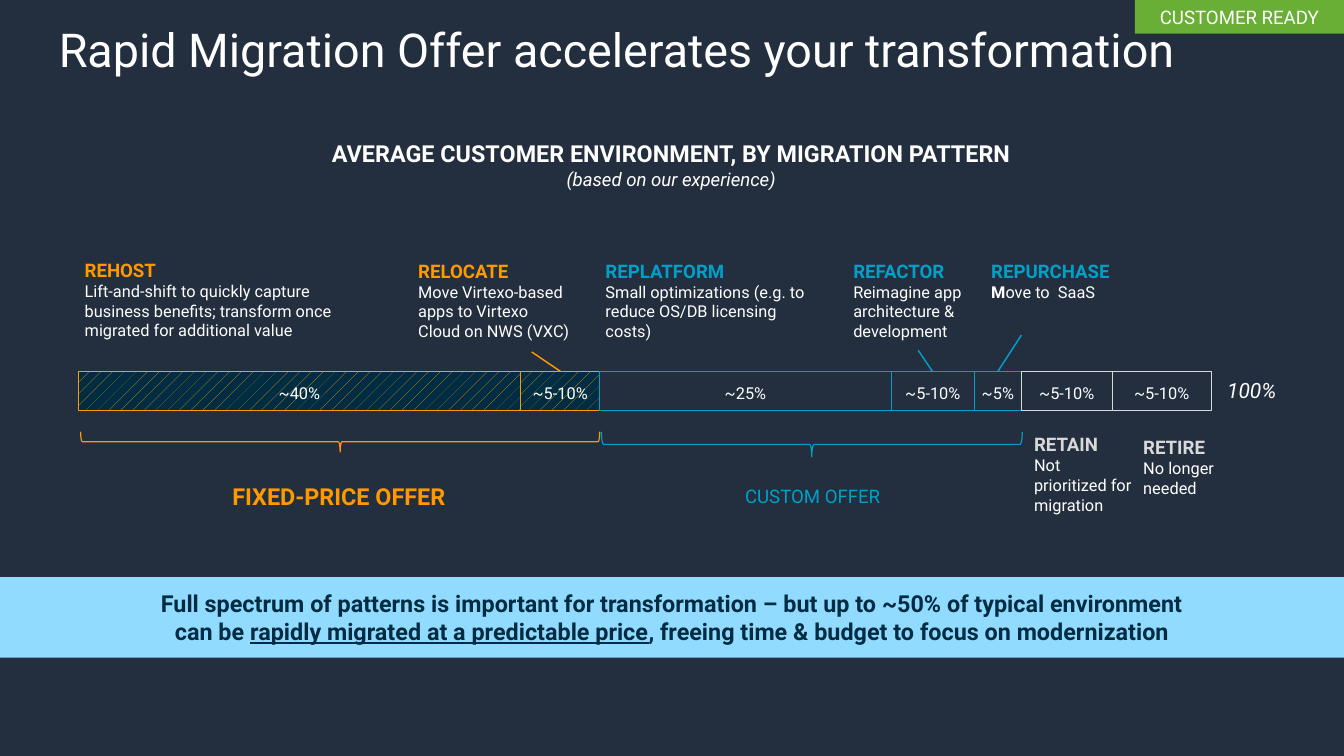
from itertools import accumulate

from lxml.etree import SubElement
from pptx import Presentation
from pptx.dml.color import RGBColor
from pptx.enum.dml import MSO_PATTERN
from pptx.enum.shapes import MSO_CONNECTOR, MSO_SHAPE
from pptx.enum.text import MSO_ANCHOR as ANCHOR, MSO_AUTO_SIZE, PP_ALIGN as ALIGN
from pptx.oxml.ns import qn
from pptx.util import Inches, Pt

NAVY, WHITE, GREY = "232F3E", "FFFFFF", "D9D9D9"
ORANGE, TEAL, DEEP_BLUE = "FF9900", "00A0C8", "002D43"
SIDE_INSETS = (0.1, 0.05, 0.1, 0.05)
EVEN_INSETS = (0.1, 0.1, 0.1, 0.1)
DEEP_INSETS = (0.2, 0.32, 0.32, 0.32)


def rgb(value):
    """Turn a hex string into a colour."""
    return RGBColor.from_string(value)


def write(holder, lines, size=16, color=WHITE, bold=False, italic=False,
          align=ALIGN.CENTER, anchor=ANCHOR.MIDDLE, insets=SIDE_INSETS):
    """Write lines, each a list of (text, format overrides) runs."""
    frame = holder.text_frame
    frame.word_wrap = True
    frame.auto_size = MSO_AUTO_SIZE.NONE
    frame.vertical_anchor = anchor
    (frame.margin_left, frame.margin_top,
     frame.margin_right, frame.margin_bottom) = map(Inches, insets)
    for index, runs in enumerate(lines):
        paragraph = frame.add_paragraph() if index else frame.paragraphs[0]
        paragraph.alignment = align
        for text, changes in runs:
            look = dict(size=size, color=color, bold=bold, italic=italic, underline=None) | changes
            run = paragraph.add_run()
            run.text = text
            font = run.font
            font.name, font.size = "Roboto", Pt(look["size"])
            font.color.rgb = rgb(look["color"])
            font.bold, font.italic, font.underline = look["bold"], look["italic"], look["underline"]


def add_text(slide, box, lines, **look):
    """Add a text box."""
    write(slide.shapes.add_textbox(*map(Inches, box)), lines, **look)


def add_box(slide, box, fill=None, line=None, preset=MSO_SHAPE.RECTANGLE):
    """Add a preset shape with an optional fill and outline."""
    shape = slide.shapes.add_shape(preset, *map(Inches, box))
    shape.shadow.inherit = False
    if fill:
        shape.fill.solid()
        shape.fill.fore_color.rgb = rgb(fill)
    else:
        shape.fill.background()
    if line:
        shape.line.color.rgb = rgb(line)
        shape.line.width = Pt(1)
    else:
        shape.line.fill.background()
    return shape


def add_pointer(slide, start, end, color):
    """Draw a line from a pattern description to its bar segment."""
    pointer = slide.shapes.add_connector(MSO_CONNECTOR.STRAIGHT, *map(Inches, start + end))
    pointer.line.color.rgb = rgb(color)
    pointer.line.width = Pt(1.25)
    SubElement(pointer._element.spPr, qn("a:effectLst"))


def add_header(slide, left, top, width):
    """Place the title, the tag and the chart heading."""
    title = slide.shapes.title
    title.left, title.top, title.width, title.height = map(Inches, (left, top, width, 0.99))
    write(title, [[("Rapid Migration Offer accelerates your transformation", {})]],
          size=40, align=ALIGN.LEFT, anchor=ANCHOR.TOP)
    tag = add_box(slide, (13.51, 0, 2.49, 0.4), fill="69AE35")
    write(tag, [[("CUSTOMER READY", {})]])
    add_text(slide, (left + 0.68, top + 1.41, 13.42, 0.71),
             [[("AVERAGE CUSTOMER ENVIRONMENT, BY MIGRATION PATTERN", dict(size=20, bold=True))],
              [("(based on our experience)", dict(italic=True))]], anchor=ANCHOR.TOP)


def add_bar(slide, left, top, height):
    """Place the segments of the environment bar side by side."""
    segments = [("~40%", 5.27, ORANGE), ("~5-10%", 0.94, ORANGE), ("~25%", 3.47, TEAL),
                ("~5-10%", 0.99, TEAL), ("~5%", 0.56, TEAL),
                ("~5-10%", 1.08, GREY), ("~5-10%", 1.18, GREY)]
    edges = list(accumulate((width for _, width, _ in segments), initial=left))
    for (share, width, color), edge in zip(segments, edges):
        segment = add_box(slide, (edge, top, width, height), NAVY, color)
        if color == ORANGE:
            segment.fill.patterned()
            segment.fill.pattern = MSO_PATTERN.PERCENT_5
            segment.fill.fore_color.rgb = rgb(ORANGE)
            segment.fill.back_color.rgb = rgb(DEEP_BLUE)
        write(segment, [[(share, {})]], size=14, insets=(0, 0.04, 0, 0))
    add_text(slide, (edges[-1] + 0.09, top + 0.02, 1.01, 0.4), [[("100%", {})]],
             size=18, italic=True, align=ALIGN.LEFT, anchor=ANCHOR.TOP)


def add_patterns(slide, bar_top):
    """Describe each migration pattern above or below the bar."""
    above, middle = (ANCHOR.TOP, EVEN_INSETS), (ANCHOR.MIDDLE, DEEP_INSETS)
    plain = dict(size=14, color=WHITE, bold=False)
    patterns = [
        ("REHOST", [("Lift-and-shift to quickly capture business benefits; "
                     "transform once migrated for additional value", plain)],
         ORANGE, (0.91, -1.44, 3.36, 1.32), above),
        ("RELOCATE", [("Move Virtexo-based apps to Virtexo Cloud on NWS (VXC)", plain)],
         ORANGE, (4.88, -1.43, 2.01, 0.8), above),
        ("REPLATFORM", [("Small optimizations (e.g. to reduce OS/DB licensing costs)", plain)],
         TEAL, (7.11, -1.43, 2.74, 1), above),
        ("REFACTOR", [("Reimagine app architecture & development", plain)],
         TEAL, (10.06, -1.43, 1.74, 1.18), above),
        ("REPURCHASE", [("M", plain | dict(bold=True)), ("ove to  SaaS", plain)],
         TEAL, (11.6, -1.2, 1.94, 0.25), middle),
        ("RETAIN", [("Not prioritized for migration", plain)],
         GREY, (12.11, 0.68, 1.72, 1.08), middle),
        ("RETIRE", [("No longer needed", plain)],
         GREY, (13.41, 0.75, 1.72, 0.77), middle),
    ]
    for name, description, color, (left, offset, width, height), (anchor, insets) in patterns:
        add_text(slide, (left, bar_top + offset, width, height), [[(name, {})], description],
                 color=color, bold=True, align=ALIGN.LEFT, anchor=anchor, insets=insets)
    for start_x, rise, end_x, color in [(6.33, 0.23, 6.67, ORANGE), (10.93, 0.25, 11.1, TEAL),
                                        (12.16, 0.43, 11.88, TEAL)]:
        add_pointer(slide, (start_x, bar_top - rise), (end_x, bar_top), color)


def add_offer(slide, left, top, width, depth, name, name_left, **look):
    """Place a brace under the bar with the name of its offer."""
    brace_left = left + (width - depth) / 2
    brace_top = top + (depth - width) / 2
    brace = add_box(slide, (brace_left, brace_top, depth, width),
                    line=look["color"], preset=MSO_SHAPE.LEFT_BRACE)
    brace.rotation = 270
    add_text(slide, (name_left, top + 0.47, 6.87, 0.6), [[(name, {})]], **look)


def add_takeaway(slide, left, top, width, height):
    """Place the closing message band."""
    band = add_box(slide, (left, top, width, height), fill="90DBFF")
    write(band, [
        [("Full spectrum of patterns is important for transformation – "
          "but up to ~50% of typical environment", {})],
        [("can be ", {}), ("rapidly migrated at a predictable price", dict(underline=True)),
         (", freeing time & budget to focus on modernization", {})],
    ], size=20, color="002B40", bold=True)


def main():
    """Build the slide and save it."""
    deck = Presentation()
    deck.slide_width, deck.slide_height = Inches(16), Inches(9)
    slide = deck.slides.add_slide(deck.slide_layouts[5])
    slide.background.fill.solid()
    slide.background.fill.fore_color.rgb = rgb(NAVY)
    bar_top = 4.42
    add_takeaway(slide, 0, 6.87, 16, 0.96)
    add_patterns(slide, bar_top)
    add_bar(slide, 0.93, bar_top, 0.47)
    add_offer(slide, 0.96, 5.14, 6.18, 0.24, "FIXED-PRICE OFFER", 0.6,
              size=20, color=ORANGE, bold=True)
    add_offer(slide, 7.16, 5.14, 5.01, 0.3, "CUSTOM OFFER", 6.24, color=TEAL)
    add_header(slide, 0.6, 0.2, 14.78)
    deck.save("out.pptx")


if __name__ == "__main__":
    main()
